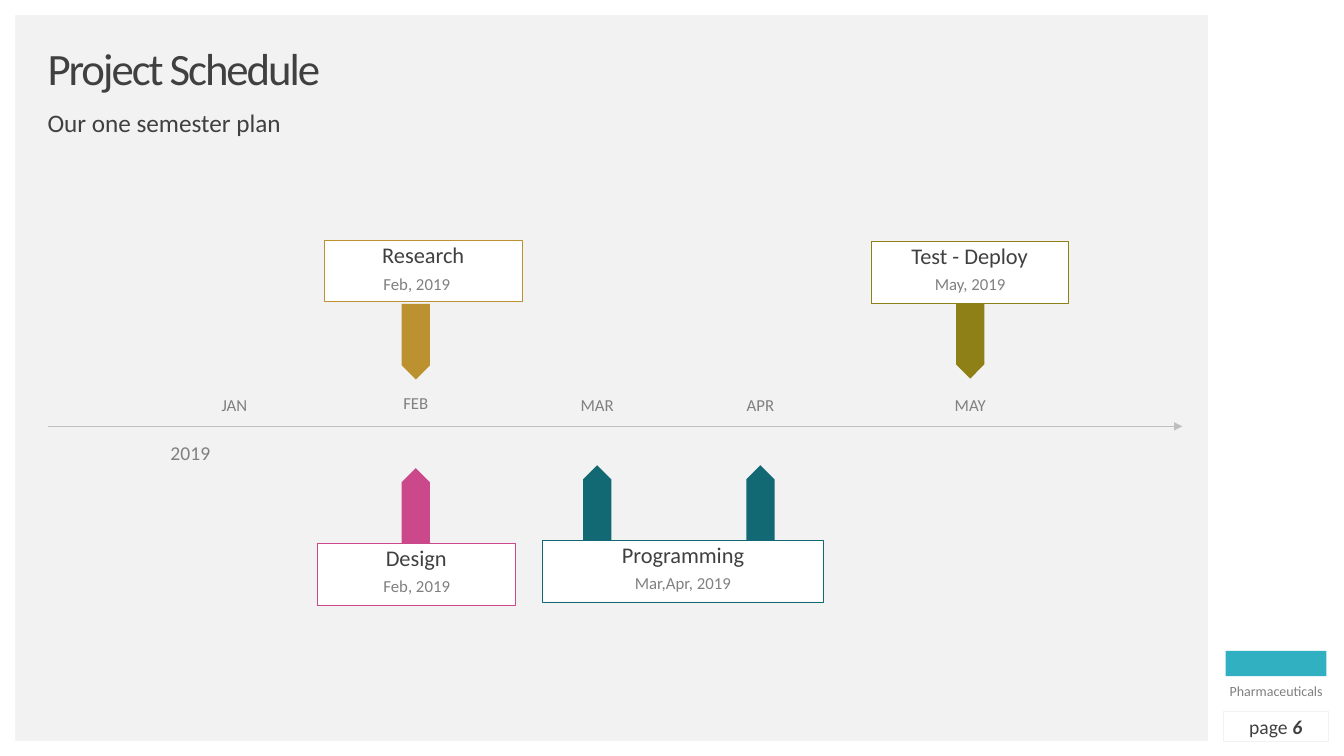
from dataclasses import dataclass

from lxml.etree import SubElement
from pptx import Presentation
from pptx.dml.color import RGBColor
from pptx.enum.shapes import MSO_CONNECTOR as CONN, MSO_SHAPE as SHAPE
from pptx.enum.text import MSO_ANCHOR as ANCHOR, MSO_AUTO_SIZE as AUTO, PP_ALIGN as ALIGN
from pptx.oxml.ns import qn
from pptx.util import Pt


@dataclass(frozen=True)
class Theme:
    font: str = "Calibri"
    canvas: str = "F2F2F2"
    white: str = "FFFFFF"
    dark: str = "404040"
    muted: str = "808080"
    axis: str = "BFBFBF"
    accent: str = "31B0C1"
    research: str = "BC9230"
    design: str = "CB488B"
    programming: str = "126974"
    deploy: str = "8E8016"
    title: int = 32
    subtitle: int = 18
    task: int = 16
    year: int = 14
    small: int = 12
    tagline: int = 10


T = Theme()
WIDTH, HEIGHT = 960, 540
MARGIN = 10.8
MONTHS = {"JAN": 167.4, "FEB": 297, "MAR": 426.6, "APR": 543.2, "MAY": 693}
TASKS = [
    ("Design", "Feb, 2019", T.design, (226.8, 388.1, 141.1), (297.7, 412.6), ["FEB"], 361.4, 270),
    ("Research", "Feb, 2019", T.research, (231.8, 171.4, 141.1), (297.7, 197.3), ["FEB"], 244.1, 90),
    ("Programming", "Mar,Apr, 2019", T.programming, (387.4, 385.9, 200.9), (487.8, 410.4),
     ["MAR", "APR"], 359.3, 270),
    ("Test - Deploy", "May, 2019", T.deploy, (622.1, 172.5, 141.1), (693, 197.3), ["MAY"], 243.4, 90),
]


def rgb(color):
    return RGBColor.from_string(color)


def add_run(p, text, size, color=T.dark, bold=False, italic=False, spacing=0):
    r = p.add_run()
    r.text = text
    font = r.font
    font.name, font.size, font.bold, font.italic = T.font, Pt(size), bold, italic
    font.color.rgb = rgb(color)
    if spacing:
        r._r.get_or_add_rPr().set("spc", str(int(spacing * 100)))


def format_frame(tf, align=ALIGN.CENTER, anchor=ANCHOR.TOP, line=0.9, before=10, top=0):
    tf.word_wrap, tf.auto_size = True, AUTO.NONE
    tf.margin_left = tf.margin_right = tf.margin_bottom = 0
    tf.margin_top, tf.vertical_anchor = Pt(top), anchor
    p = tf.paragraphs[0]
    p.alignment, p.line_spacing, p.space_before = align, line, Pt(before)
    return p


def add_rect(s, box, fill=None, line=None, kind=SHAPE.RECTANGLE):
    sp = s.shapes.add_shape(kind, *map(Pt, box))
    sp.shadow.inherit = False
    if fill:
        sp.fill.solid()
        sp.fill.fore_color.rgb = rgb(fill)
    else:
        sp.fill.background()
    if line:
        sp.line.color.rgb = rgb(line)
        sp.line.width = Pt(0.25)
    else:
        sp.line.fill.background()
    return sp


def add_label(s, text, center, top, width, height, size=T.small, anchor=ANCHOR.TOP):
    sp = s.shapes.add_textbox(Pt(center - width / 2), Pt(top), Pt(width), Pt(height))
    add_run(format_frame(sp.text_frame, anchor=anchor), text, size, T.muted)


def fill_placeholder(sp, text, top, height, size, anchor, before=0, spacing=0):
    sp.left, sp.top, sp.width, sp.height = Pt(34), Pt(top), Pt(798.5), Pt(height)
    p = format_frame(sp.text_frame, ALIGN.LEFT, anchor, before=before)
    pPr = p._p.get_or_add_pPr()
    pPr.set("marL", "0")
    pPr.set("indent", "0")
    SubElement(pPr, qn("a:buNone"))
    add_run(p, text, size, spacing=spacing)


def add_frame(s):
    right = 862.9
    for box in [(0, 0, WIDTH, MARGIN), (0, 0, MARGIN, HEIGHT),
                (right, 0, WIDTH - right, HEIGHT), (0, HEIGHT - MARGIN, WIDTH, MARGIN)]:
        add_rect(s, box, T.white)


def add_page_number(s, number):
    sp = add_rect(s, (873.4, 508.3, 75.6, 20.9), line=T.canvas)
    p = format_frame(sp.text_frame, anchor=ANCHOR.MIDDLE, line=1.0, before=0)
    add_run(p, "page ", T.year)
    add_run(p, number, T.year, bold=True, italic=True)


def add_axis(s):
    cx = s.shapes.add_connector(CONN.STRAIGHT, Pt(34), Pt(304.6), Pt(844.6), Pt(304.6))
    cx.line.color.rgb = rgb(T.axis)
    cx.line.width = Pt(0.5)
    SubElement(cx.line._get_or_add_ln(), qn("a:tailEnd"), type="triangle")
    SubElement(cx._element.spPr, qn("a:effectLst"))


def add_pointer(s, center, middle, rotation, color):
    length, width = 54, 20.2
    box = (center - length / 2, middle - width / 2, length, width)
    add_rect(s, box, color, kind=SHAPE.PENTAGON).rotation = rotation


def add_task(s, name, date, color, box, date_at, months, middle, rotation):
    for month in months:
        add_pointer(s, MONTHS[month], middle, rotation, color)
    sp = add_rect(s, (*box, 43.9), T.white, color)
    add_run(format_frame(sp.text_frame, top=2.9), name, T.task)
    add_label(s, date, *date_at, 133.2, 18)


def main():
    prs = Presentation()
    prs.slide_width, prs.slide_height = Pt(WIDTH), Pt(HEIGHT)
    s = prs.slides.add_slide(prs.slide_layouts[1])
    s.background.fill.solid()
    s.background.fill.fore_color.rgb = rgb(T.canvas)
    add_frame(s)
    add_rect(s, (875.5, 465, 72, 18), T.accent)
    add_label(s, "Pharmaceuticals", 911.5, 489, 85, 12, T.tagline)
    add_axis(s)
    fill_placeholder(s.shapes.title, "Project Schedule", 33.8, 33.8, T.title, ANCHOR.MIDDLE, spacing=-1.5)
    fill_placeholder(s.placeholders[1], "Our one semester plan", 79.2, 20.2, T.subtitle, ANCHOR.TOP, before=10)
    for month, center in MONTHS.items():
        add_label(s, month, center, 282.2 if month == "FEB" else 283.3, 29.5, 15.8)
    add_label(s, "2019", 136, 316.4, 32.4, 15.8, T.year, ANCHOR.MIDDLE)
    for task in TASKS:
        add_task(s, *task)
    add_page_number(s, "6")
    prs.save("out.pptx")


if __name__ == "__main__":
    main()
